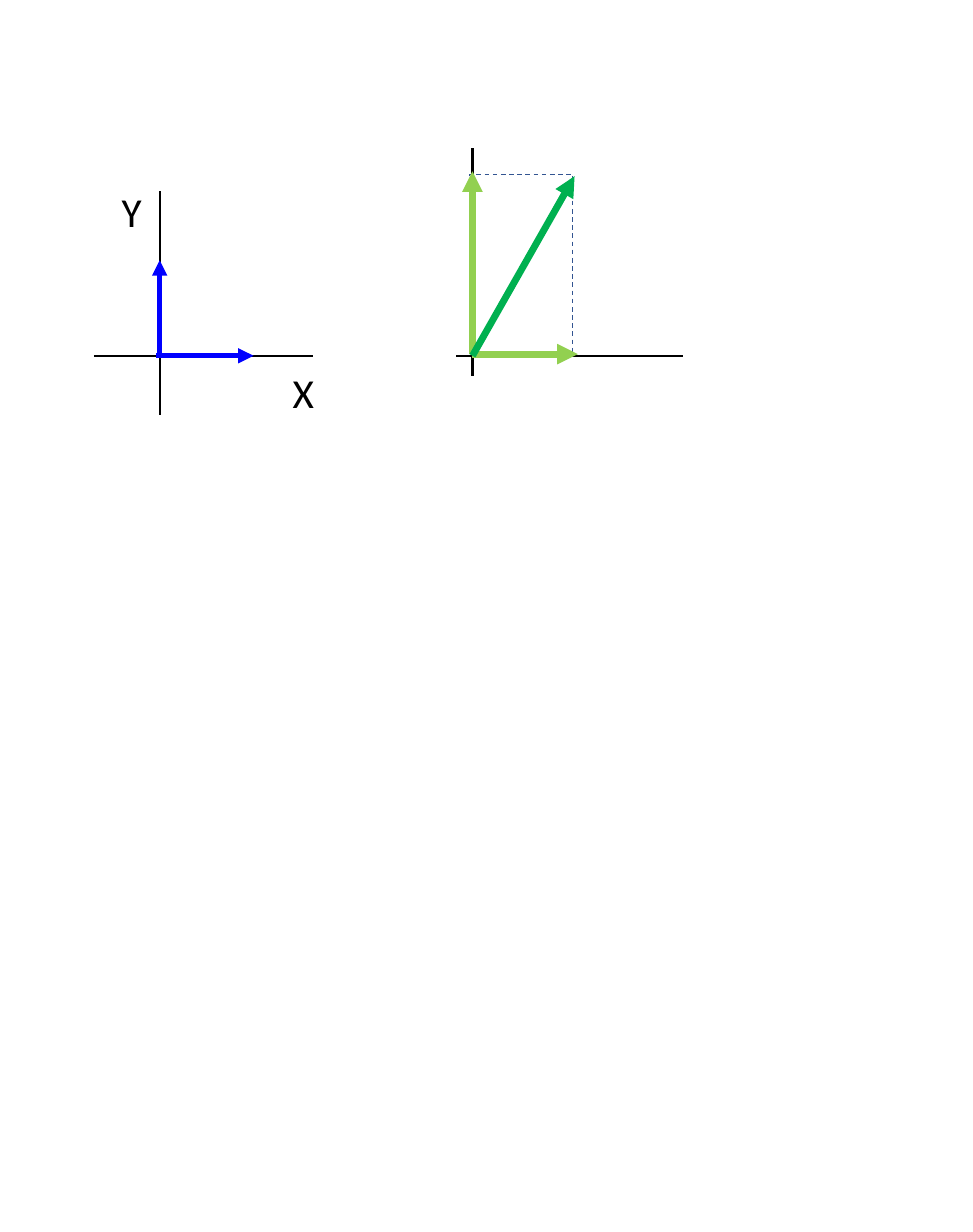
from dataclasses import dataclass

import lxml.etree
import pptx
import pptx.dml.color
import pptx.enum.dml
import pptx.enum.shapes
import pptx.enum.text
import pptx.oxml.ns
import pptx.slide
import pptx.util

PX = 9144


@dataclass(frozen=True)
class Theme:
    font: str = "Calibri"
    label_size: float = 18
    ink: str = "000000"
    guide: str = "325491"
    basis: str = "0000FF"
    component: str = "92D050"
    resultant: str = "00B050"
    guide_width: float = 0.5
    axis_width: float = 1
    basis_width: float = 2.25
    vector_width: float = 3


@dataclass(frozen=True)
class Stroke:
    x1: int
    y1: int
    x2: int
    y2: int
    color: str
    width: float
    arrow: bool = False


@dataclass(frozen=True)
class Label:
    text: str
    x: int
    y: int
    w: int
    h: int


THEME = Theme()

UNIT_AXES = [
    Stroke(97, 116, 97, 252, THEME.ink, THEME.axis_width),
    Stroke(57, 216, 190, 216, THEME.ink, THEME.axis_width),
]
LABELS = [Label("X", 168, 218, 33, 40), Label("Y", 64, 108, 32, 40)]
VECTORS = [
    Stroke(95, 216, 154, 216, THEME.basis, THEME.basis_width, True),
    Stroke(97, 216, 97, 158, THEME.basis, THEME.basis_width, True),
    Stroke(277, 216, 415, 216, THEME.ink, THEME.axis_width),
    Stroke(287, 228, 287, 90, THEME.ink, THEME.axis_width),
    Stroke(287, 215, 351, 215, THEME.component, THEME.vector_width, True),
    Stroke(287, 215, 287, 104, THEME.component, THEME.vector_width, True),
    Stroke(287, 216, 349, 107, THEME.resultant, THEME.vector_width, True),
]


def px(n: int) -> pptx.util.Emu:
    return pptx.util.Emu(n * PX)


def rgb(color: str) -> pptx.dml.color.RGBColor:
    return pptx.dml.color.RGBColor.from_string(color)


def add_guide(s: pptx.slide.Slide, x: int, y: int, w: int, h: int) -> None:
    sp = s.shapes.add_shape(
        pptx.enum.shapes.MSO_SHAPE.RECTANGLE, px(x), px(y), px(w), px(h)
    )
    sp.shadow.inherit = False
    sp.fill.background()
    sp.line.color.rgb = rgb(THEME.guide)
    sp.line.width = pptx.util.Pt(THEME.guide_width)
    sp.line.dash_style = pptx.enum.dml.MSO_LINE.DASH


def add_stroke(s: pptx.slide.Slide, stroke: Stroke) -> None:
    cxn = s.shapes.add_connector(
        pptx.enum.shapes.MSO_CONNECTOR.STRAIGHT,
        px(stroke.x1), px(stroke.y1), px(stroke.x2), px(stroke.y2),
    )
    cxn.line.color.rgb = rgb(stroke.color)
    cxn.line.width = pptx.util.Pt(stroke.width)
    spPr = cxn._element.spPr
    if stroke.arrow:
        ln = spPr.find(pptx.oxml.ns.qn("a:ln"))
        lxml.etree.SubElement(ln, pptx.oxml.ns.qn("a:tailEnd"), type="triangle")
    lxml.etree.SubElement(spPr, pptx.oxml.ns.qn("a:effectLst"))


def add_label(s: pptx.slide.Slide, label: Label) -> None:
    sp = s.shapes.add_textbox(px(label.x), px(label.y), px(label.w), px(label.h))
    tf = sp.text_frame
    tf.word_wrap = False
    tf.auto_size = pptx.enum.text.MSO_AUTO_SIZE.SHAPE_TO_FIT_TEXT
    p = tf.paragraphs[0]
    r = p.add_run()
    r.text = label.text
    r.font.name = THEME.font
    r.font.size = pptx.util.Pt(THEME.label_size)
    r.font.color.rgb = rgb(THEME.ink)


def main() -> None:
    prs = pptx.Presentation()
    prs.slide_width, prs.slide_height = px(591), px(748)
    s = prs.slides.add_slide(prs.slide_layouts[6])
    add_guide(s, 285, 106, 63, 108)
    for stroke in UNIT_AXES:
        add_stroke(s, stroke)
    for label in LABELS:
        add_label(s, label)
    for stroke in VECTORS:
        add_stroke(s, stroke)
    prs.save("out.pptx")


if __name__ == "__main__":
    main()
